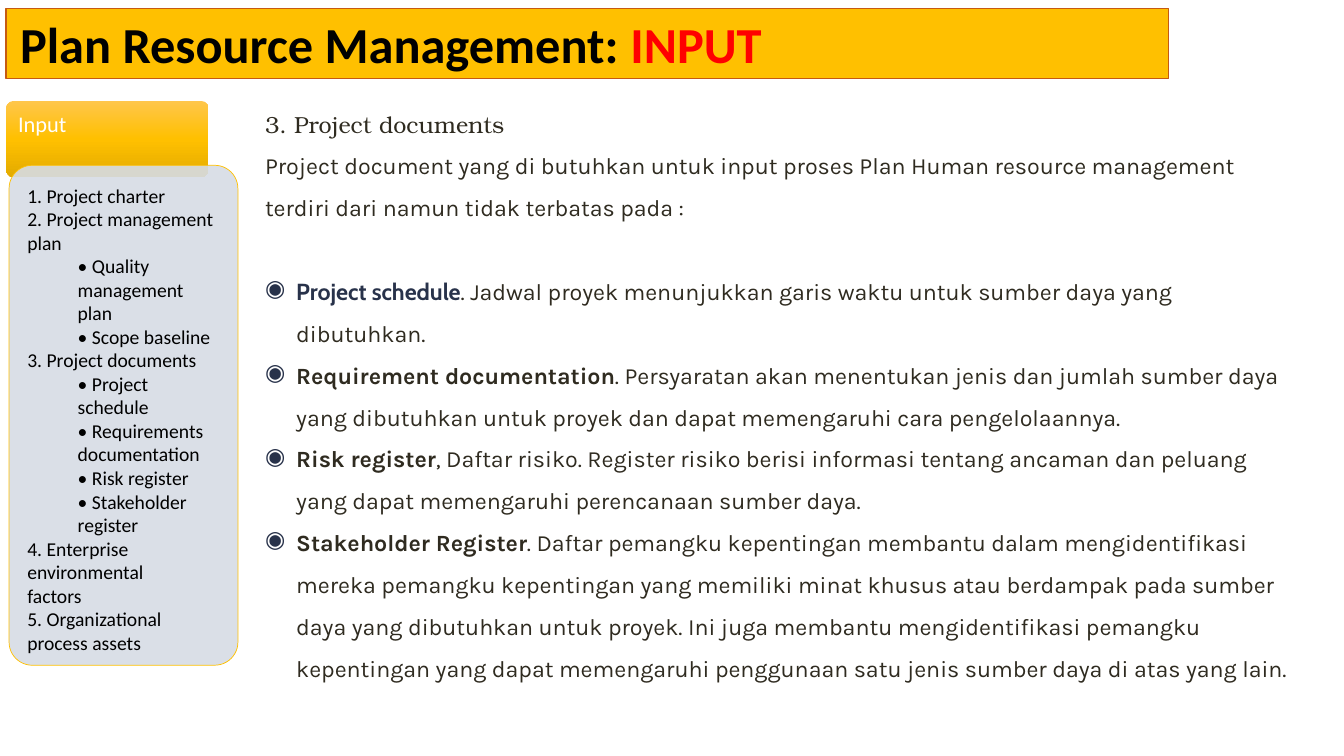
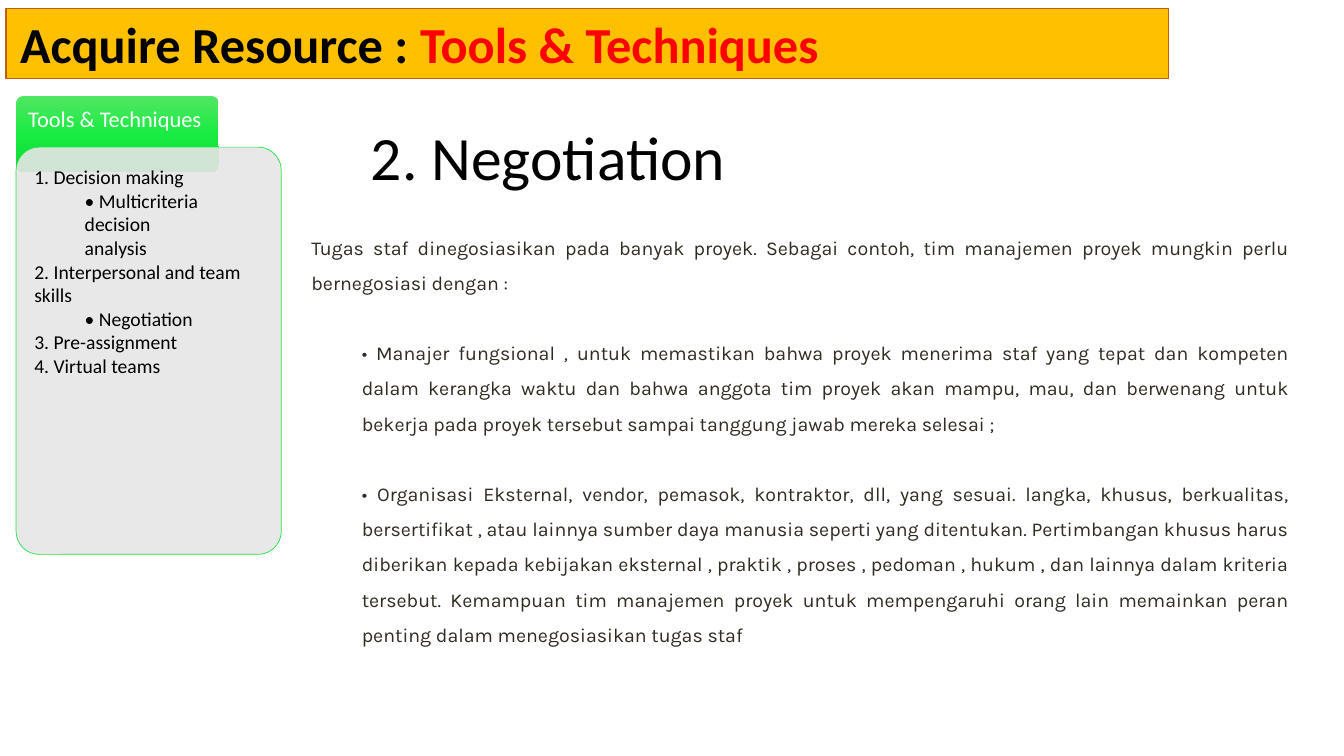
from copy import deepcopy
from dataclasses import dataclass

from lxml.etree import SubElement
from pptx import Presentation
from pptx.dml.color import RGBColor
from pptx.enum.shapes import MSO_SHAPE as Preset
from pptx.enum.text import MSO_ANCHOR as Anchor, PP_ALIGN as Align
from pptx.oxml.ns import qn
from pptx.util import Inches, Pt


@dataclass(frozen=True)
class Theme:
    black: str = "000000"
    white: str = "FFFFFF"
    red: str = "FF0000"
    ink: str = "2F2B20"
    navy: str = "28324A"
    band: str = "FFC000"
    band_line: str = "C55A11"
    sans: str = "Calibri"
    body: str = "Karla"
    accent: str = "Cabin"
    serif: str = "TeX Gyre Bonum"
    title_size: float = 36
    heading_size: float = 44
    tab_size: float = 16
    body_size: float = 16.6
    small_size: float = 14


THEME = Theme()

INPUT_PAGE = {
    "title": ("Plan Resource Management: ", "INPUT"),
    "tab": {"text": "Input", "at": (0.06, 1, 2.01, 0.76),
            "stops": ("FFC64B", "FFC000", "E3AB00")},
    "panel": {"at": (0.09, 1.64, 2.27, 4.96), "fill": "D6DCE5", "line": "FFC000"},
    "outline": [
        (0, "1. Project charter"),
        (0, "2. Project management plan"),
        (1, "• Quality management plan"),
        (1, "• Scope baseline"),
        (0, "3. Project documents"),
        (1, "• Project schedule"),
        (1, "• Requirements"),
        (1, "documentation"),
        (1, "• Risk register"),
        (1, "• Stakeholder register"),
        (0, "4. Enterprise environmental"),
        (0, "factors"),
        (0, "5. Organizational process assets"),
    ],
}
DOCUMENTS_HEADING = "3. Project documents"
DOCUMENTS_INTRO = (
    "Project document yang di butuhkan untuk input proses Plan Human resource "
    "management terdiri dari namun tidak terbatas pada :"
)
DOCUMENTS = [
    ("Project schedule",
     ". Jadwal proyek menunjukkan garis waktu untuk sumber daya yang dibutuhkan.",
     {"name": THEME.accent, "color": THEME.navy}),
    ("Requirement documentation",
     ". Persyaratan akan menentukan jenis dan jumlah sumber daya yang dibutuhkan "
     "untuk proyek dan dapat memengaruhi cara pengelolaannya.", {}),
    ("Risk register",
     ", Daftar risiko. Register risiko berisi informasi tentang ancaman dan peluang "
     "yang dapat memengaruhi perencanaan sumber daya.", {}),
    ("Stakeholder Register",
     ". Daftar pemangku kepentingan membantu dalam mengidentifikasi mereka pemangku "
     "kepentingan yang memiliki minat khusus atau berdampak pada sumber daya yang "
     "dibutuhkan untuk proyek. Ini juga membantu mengidentifikasi pemangku "
     "kepentingan yang dapat memengaruhi penggunaan satu jenis sumber daya di atas "
     "yang lain.", {}),
]

TOOLS_PAGE = {
    "title": ("Acquire Resource : ", "Tools & Techniques"),
    "tab": {"text": "Tools & Techniques", "at": (0.16, 0.95, 2.01, 0.76),
            "stops": ("51E663", "19EB42", "0CDB34")},
    "panel": {"at": (0.16, 1.46, 2.63, 4.04), "fill": "E7E6E6", "line": "23E148"},
    "outline": [
        (0, "1. Decision making"),
        (1, "• Multicriteria decision"),
        (1, "analysis"),
        (0, "2. Interpersonal and team skills"),
        (1, "• Negotiation"),
        (0, "3. Pre-assignment"),
        (0, "4. Virtual teams"),
    ],
}
NEGOTIATION_HEADING = "2. Negotiation"
NEGOTIATION = [
    (0, "Tugas staf dinegosiasikan pada banyak proyek. Sebagai contoh, tim manajemen "
        "proyek mungkin perlu bernegosiasi dengan :"),
    (1, "• Manajer fungsional , untuk memastikan bahwa proyek menerima staf yang tepat "
        "dan kompeten dalam kerangka waktu dan bahwa anggota tim proyek akan mampu, "
        "mau, dan berwenang untuk bekerja pada proyek tersebut sampai tanggung jawab "
        "mereka selesai ;"),
    (1, "• Organisasi Eksternal, vendor, pemasok, kontraktor, dll, yang sesuai. langka, "
        "khusus, berkualitas, bersertifikat , atau lainnya sumber daya manusia seperti "
        "yang ditentukan. Pertimbangan khusus harus diberikan kepada kebijakan "
        "eksternal , praktik , proses , pedoman , hukum , dan lainnya dalam kriteria "
        "tersebut. Kemampuan tim manajemen proyek untuk mempengaruhi orang lain "
        "memainkan peran penting dalam menegosiasikan tugas staf"),
]

BAND_AT = (0.06, 0.08, 11.53, 0.7)
STEP = 0.5
HANG = 0.31
PANEL_RADIUS = 0.23
TAB_RADIUS = 0.08
ROUND_INSET = 0.29


def rgb(color):
    return RGBColor.from_string(color)


def write(frame, text, name=THEME.sans, size=THEME.small_size, color=THEME.black,
          bold=False, align=Align.LEFT, spacing=1.0, before=0, left=0, bullet=None):
    spans = [(text, {})] if isinstance(text, str) else text
    first = frame.paragraphs[0]
    para = frame.add_paragraph() if first.runs else first
    properties = para._p.get_or_add_pPr()
    properties.set("marL", str(Inches(left)))
    properties.set("indent", str(Inches(-left if bullet else 0)))
    if bullet:
        tint = SubElement(properties, qn("a:buClr"))
        SubElement(tint, qn("a:srgbClr")).set("val", THEME.navy)
        SubElement(properties, qn("a:buChar")).set("char", bullet)
    para.alignment = align
    para.line_spacing = spacing
    para.space_before = Pt(before)
    for words, change in spans:
        look = {"name": name, "size": size, "color": color, "bold": bold} | change
        span = para.add_run()
        span.text = words
        span.font.name = look["name"]
        span.font.size = Pt(look["size"])
        span.font.bold = look["bold"]
        span.font.color.rgb = rgb(look["color"])


def set_frame(box, insets, anchor=Anchor.TOP):
    frame = box.text_frame
    frame.word_wrap = True
    frame.vertical_anchor = anchor
    (frame.margin_left, frame.margin_top,
     frame.margin_right, frame.margin_bottom) = map(Inches, insets)
    return frame


def add_text(page, at, insets=(0.1, 0.1, 0.1, 0.1), anchor=Anchor.TOP):
    return set_frame(page.shapes.add_textbox(*map(Inches, at)), insets, anchor)


def add_box(page, at, fill=None, line=None, width=0.5, radius=0):
    preset = Preset.ROUNDED_RECTANGLE if radius else Preset.RECTANGLE
    box = page.shapes.add_shape(preset, *map(Inches, at))
    box.shadow.inherit = False
    if radius:
        box.adjustments[0] = radius / min(at[2:])
    if fill:
        box.fill.solid()
        box.fill.fore_color.rgb = rgb(fill)
    if line:
        box.line.color.rgb = rgb(line)
        box.line.width = Pt(width)
    else:
        box.line.fill.background()
    return box


def shade(box, colors):
    box.fill.gradient()
    box.fill.gradient_angle = 270
    stops = box._element.spPr.find(".//" + qn("a:gsLst"))
    stops.insert(1, deepcopy(stops[0]))
    for index, (stop, color) in enumerate(zip(box.fill.gradient_stops, colors)):
        stop.color.rgb = rgb(color)
        stop.position = index / (len(colors) - 1)


def add_band(page, topic, part):
    band = add_box(page, BAND_AT, THEME.band, THEME.band_line, 0.75)
    frame = set_frame(band, (0.14, 0.05, 0.09, 0.05))
    write(frame, [(topic, {}), (part, {"color": THEME.red})],
          size=THEME.title_size, bold=True)


def add_sidebar(page, tab, panel, outline):
    label = add_box(page, tab["at"], radius=TAB_RADIUS)
    shade(label, tab["stops"])
    inset = 0.12 - TAB_RADIUS * ROUND_INSET
    write(set_frame(label, (inset, inset, inset, 0.3)), tab["text"],
          size=THEME.tab_size, color=THEME.white, spacing=0.9)

    card = add_box(page, panel["at"], panel["fill"], panel["line"], radius=PANEL_RADIUS)
    tint = card._element.spPr.find(qn("a:solidFill")).find(qn("a:srgbClr"))
    SubElement(tint, qn("a:alpha")).set("val", "90000")
    frame = set_frame(card, [0.18 - PANEL_RADIUS * ROUND_INSET] * 4)
    for level, entry in outline:
        write(frame, entry, left=level * STEP)


def start_page(deck, content):
    page = deck.slides.add_slide(deck.slide_layouts[6])
    add_band(page, *content["title"])
    add_sidebar(page, content["tab"], content["panel"], content["outline"])
    return page


def add_documents(page):
    frame = add_text(page, (2.53, 0.99, 10.41, 6.23))
    look = {"size": THEME.body_size, "color": THEME.ink}
    write(frame, DOCUMENTS_HEADING, name=THEME.serif, **look)
    write(frame, DOCUMENTS_INTRO, name=THEME.body, spacing=1.5, **look)
    for index, (term, meaning, change) in enumerate(DOCUMENTS):
        write(frame, [(term, {"bold": True} | change), (meaning, {})],
              name=THEME.body, spacing=1.5, before=0 if index else 30,
              left=HANG, bullet="◉", **look)


def add_negotiation(page):
    heading = add_text(page, (3.58, 1.29, 6.3, 0.73), anchor=Anchor.BOTTOM)
    write(heading, NEGOTIATION_HEADING, size=THEME.heading_size, spacing=0.9)
    frame = add_text(page, (2.99, 2.17, 9.9, 4.34), (0.1, 0.05, 0.1, 0.05))
    for level, text in NEGOTIATION:
        write(frame, text, name=THEME.body, color=THEME.ink, align=Align.JUSTIFY,
              spacing=1.5, before=25 * level, left=level * STEP)


def main():
    deck = Presentation()
    deck.slide_width, deck.slide_height = Inches(13.33), Inches(7.5)
    add_documents(start_page(deck, INPUT_PAGE))
    add_negotiation(start_page(deck, TOOLS_PAGE))
    deck.save("out.pptx")


if __name__ == "__main__":
    main()
